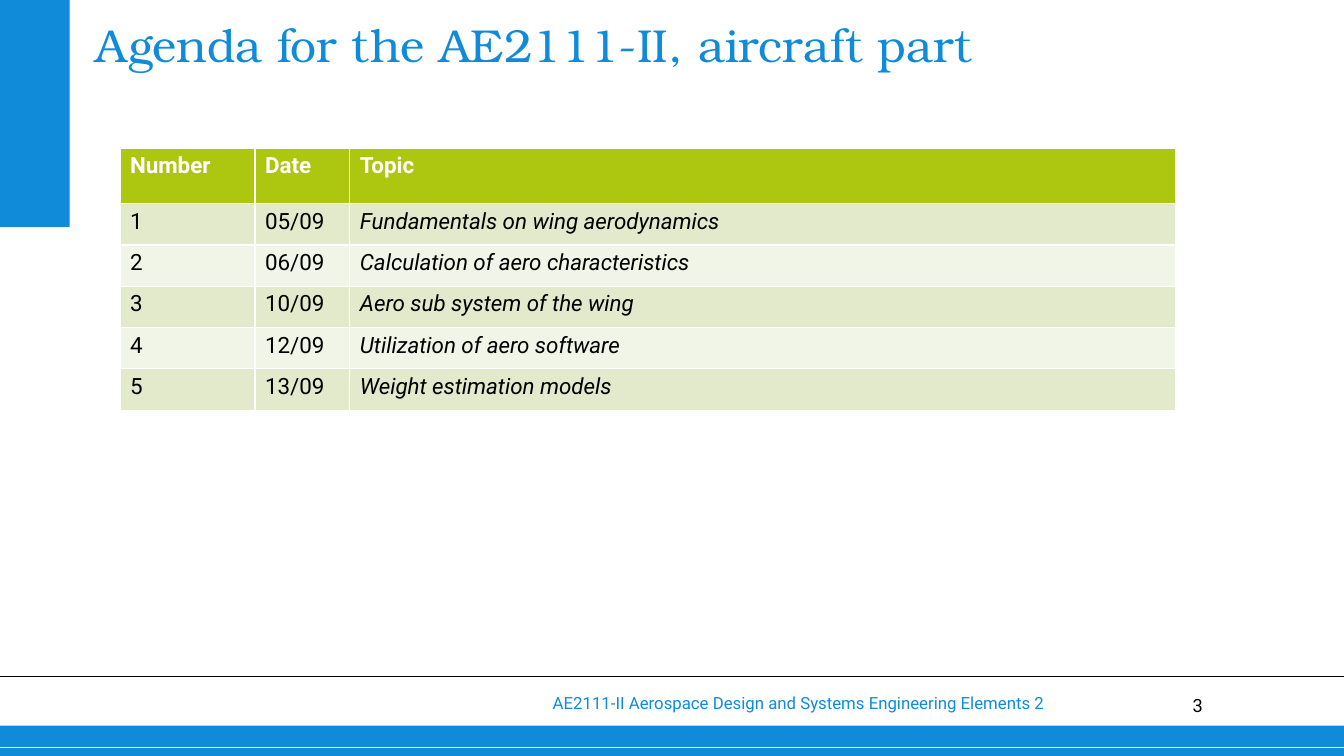
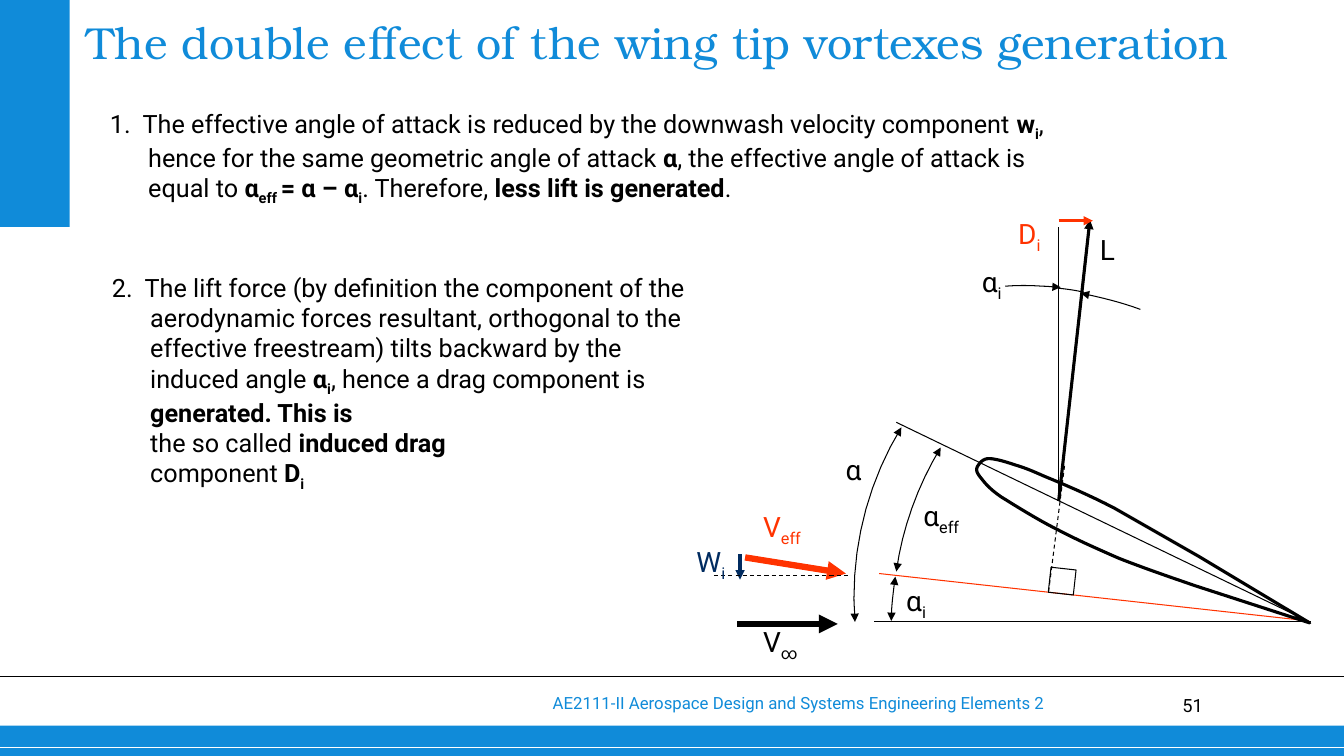
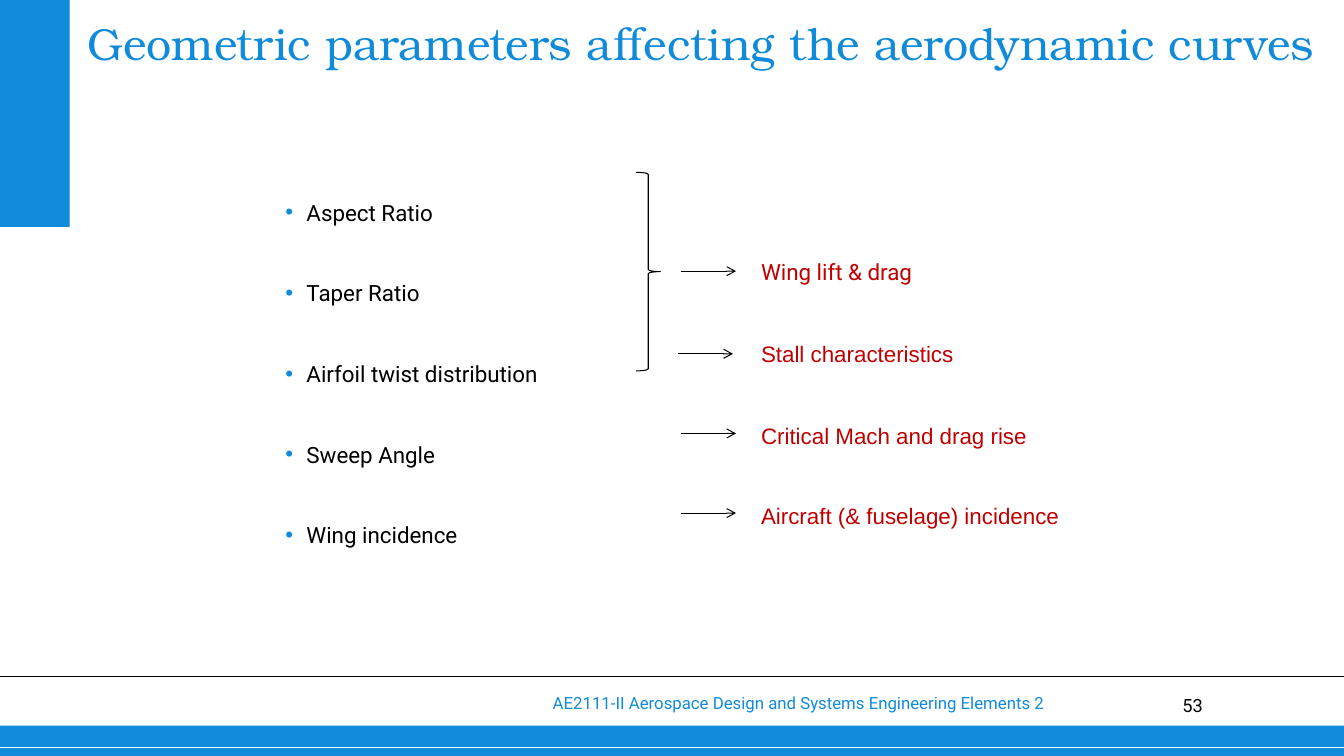
from lxml.etree import SubElement
from pptx import Presentation
from pptx.dml.color import RGBColor
from pptx.enum.dml import MSO_LINE
from pptx.enum.shapes import MSO_CONNECTOR, MSO_SHAPE
from pptx.enum.text import MSO_ANCHOR, MSO_AUTO_SIZE, PP_ALIGN
from pptx.oxml.ns import qn
from pptx.util import Inches, Pt

BLUE, BLACK, WHITE = "108BD9", "000000", "FFFFFF"
ORANGE, NAVY, RED = "FF3300", "002B60", "C00000"
LIME, PALE_GREEN, PALE_GREY = "ADC610", "E3EACC", "F1F5E7"
COLUMNS, ROWS = 1333, 750
cell = Inches(0.01)
color = RGBColor.from_string


def stroke(shape, line_color, width, head=None, tail=None, dashed=False):
    shape.line.color.rgb = color(line_color)
    shape.line.width = Pt(width)
    if dashed:
        shape.line.dash_style = MSO_LINE.DASH
    line = shape.line._get_or_add_ln()
    for end, kind in (("a:headEnd", head), ("a:tailEnd", tail)):
        if kind:
            SubElement(line, qn(end), type=kind)
    SubElement(shape.element.spPr, qn("a:effectLst"))


def write(shape, box, pieces, size, text_color, font="Roboto", align=PP_ALIGN.LEFT, indent=0, bullet=None):
    shape.left, shape.top, shape.width, shape.height = [value * cell for value in box]
    frame = shape.text_frame
    frame.word_wrap = True
    frame.auto_size = MSO_AUTO_SIZE.NONE
    frame.vertical_anchor = MSO_ANCHOR.TOP
    paragraph = frame.paragraphs[0]
    for text, style in [(pieces, "")] if isinstance(pieces, str) else pieces:
        if paragraph.runs and bullet:
            paragraph = frame.add_paragraph()
        if text == "\n":
            paragraph.add_line_break()
            continue
        run = paragraph.add_run()
        run.text = text
        if "b" in style:
            run.font.bold = True
        if "s" in style:
            run.font._element.set("baseline", "-25000")
    for paragraph in frame.paragraphs:
        paragraph.alignment = align
        paragraph.space_before = Pt(0)
        if bullet:
            paragraph.line_spacing = 3.0
        properties = paragraph._p.get_or_add_pPr()
        properties.set("marL", str(indent * cell))
        properties.set("indent", str(-indent * cell))
        if bullet:
            SubElement(SubElement(properties, qn("a:buClr")), qn("a:srgbClr"), val=BLUE)
            SubElement(properties, qn("a:buChar"), char=bullet)
        else:
            SubElement(properties, qn("a:buNone"))
        paragraph.font.size = Pt(size)
        paragraph.font.name = font
        paragraph.font.color.rgb = color(text_color)


presentation = Presentation()
presentation.slide_width = COLUMNS * cell
presentation.slide_height = ROWS * cell

slides = []
for layout, number, title, box, size in (
    (5, "3", "Agenda for the AE2111-II, aircraft part", (85, 11, 1117, 83), 33),
    (3, "51", "The double effect of the wing tip vortexes generation", (76, 10, 1162, 64), 32),
    (1, "53", "Geometric parameters affecting the aerodynamic curves", (77, 11, 1245, 64), 32),
):
    slide = presentation.slides.add_slide(presentation.slide_layouts[layout])
    write(slide.shapes.title, box, title, size, BLUE, "TeX Gyre Bonum")
    number_box = slide.shapes.add_textbox(0, 0, 0, 0)
    write(number_box, (1114, 689, 79, 28), number, 13, BLACK, align=PP_ALIGN.RIGHT)
    frame = number_box.text_frame
    frame.margin_left = frame.margin_right = frame.margin_top = frame.margin_bottom = 0
    slides.append(slide)
agenda, vortexes, parameters = slides

decorations = []
for left, top, width, height in ((0, 720, COLUMNS, 30), (0, 0, 69, 225)):
    band = agenda.shapes.add_shape(MSO_SHAPE.RECTANGLE, left * cell, top * cell, width * cell, height * cell)
    band.fill.solid()
    band.fill.fore_color.rgb = color(BLUE)
    band.line.fill.background()
    band.shadow.inherit = False
    decorations.append(band)
for row, line_color, width in ((742, WHITE, 0.75), (671, BLACK, 1)):
    rule = agenda.shapes.add_connector(MSO_CONNECTOR.STRAIGHT, 0, row * cell, COLUMNS * cell, row * cell)
    stroke(rule, line_color, width)
    decorations.append(rule)
footer = agenda.shapes.add_textbox(0, 0, 0, 0)
write(footer, (341, 682, 705, 30), "AE2111-II Aerospace Design and Systems Engineering Elements 2", 12, BLUE,
      align=PP_ALIGN.RIGHT)
decorations.append(footer)
for identifier, shape in enumerate(decorations, 100):
    shape.element.xpath(".//p:cNvPr")[0].set("id", str(identifier))
    presentation.slide_master.shapes.element.append(shape.element)

lectures = (
    ("Number", "Date", "Topic"),
    ("1", "05/09", "Fundamentals on wing aerodynamics"),
    ("2", "06/09", "Calculation of aero characteristics"),
    ("3", "10/09", "Aero sub system of the wing"),
    ("4", "12/09", "Utilization of aero software"),
    ("5", "13/09", "Weight estimation models"),
)
table = agenda.shapes.add_table(6, 3, 119 * cell, 147 * cell, 1047 * cell, 258 * cell).table
for column, width in zip(table.columns, (134, 94, 819)):
    column.width = width * cell
for row, lecture in enumerate(lectures):
    table.rows[row].height = (41 if row else 55) * cell
    for column, text in enumerate(lecture):
        table_cell = table.cell(row, column)
        table_cell.text = text
        table_cell.fill.solid()
        table_cell.fill.fore_color.rgb = color((PALE_GREEN if row % 2 else PALE_GREY) if row else LIME)
        font = table_cell.text_frame.paragraphs[0].font
        font.size = Pt(16)
        font.name = "Roboto"
        font.bold = row == 0
        font.italic = row > 0 and column == 2
        font.color.rgb = color(BLACK if row else WHITE)

effects = (
    ((99, 102, 956, 100), (
        ("1.  The effective angle of attack is reduced by the downwash velocity component ", ""),
        ("w", "b"), ("i", "bs"), (", hence for the same geometric angle of attack ", ""), ("α", "b"),
        (", the effective angle of attack is equal to ", ""), ("α", "b"), ("eff ", "bs"), ("= α – α", "b"),
        ("i", "bs"), (". Therefore, ", ""), ("less lift is generated", "b"), (".", ""))),
    ((101, 265, 589, 220), (
        ("2.  The lift force (by definition the component of the aerodynamic forces resultant, orthogonal to "
         "the effective freestream) tilts backward by the induced angle ", ""),
        ("α", "b"), ("i", "bs"), (", hence a drag component is ", ""), ("generated. This is", "b"), ("\n", ""),
        ("the so called ", ""), ("induced drag", "b"), ("\n", ""), ("component ", ""), ("D", "b"), ("i", "bs"))),
)
for placeholder, (box, pieces) in zip(list(vortexes.placeholders)[1:], effects):
    write(placeholder, box, pieces, 18, BLACK, indent=38)

for start_x, start_y, end_x, end_y, line_color, width, tail, dashed in (
    (1050, 497, 1081, 218, BLACK, 2.25, "triangle", False),
    (1050, 496, 1050, 225, BLACK, 0.75, None, False),
    (1050, 219, 1084, 219, ORANGE, 2.25, "triangle", False),
    (1040, 587, 1056, 461, BLACK, 0.75, None, True),
    (1300, 617, 867, 617, BLACK, 0.75, None, False),
    (1297, 616, 889, 419, BLACK, 0.75, None, False),
    (1298, 616, 872, 569, ORANGE, 0.75, None, False),
    (731, 619, 831, 619, BLACK, 4.5, "triangle", False),
    (739, 553, 839, 569, ORANGE, 4.5, "triangle", False),
    (734, 550, 734, 575, NAVY, 2.25, "triangle", False),
    (708, 571, 841, 571, BLACK, 0.75, None, True),
):
    line = vortexes.shapes.add_connector(
        MSO_CONNECTOR.STRAIGHT, start_x * cell, start_y * cell, end_x * cell, end_y * cell)
    stroke(line, line_color, width, tail=tail, dashed=dashed)

right_angle = vortexes.shapes.add_shape(MSO_SHAPE.RECTANGLE, 1041 * cell, 564 * cell, 25 * cell, 25 * cell)
right_angle.rotation = 6.3
right_angle.fill.background()
stroke(right_angle, BLACK, 0.75)

airfoil = (
    ((1189, 552),), ((1105, 504),),
    ((1080, 491), (1054, 480), (1037, 473)), ((1021, 466), (1016, 464), (1006, 461)),
    ((997, 458), (987, 455), (981, 455)), ((975, 455), (972, 459), (970, 462)),
    ((968, 465), (968, 468), (972, 473)), ((976, 478), (980, 484), (993, 493)),
    ((1006, 501), (1028, 515), (1048, 525)), ((1067, 535), (1087, 544), (1110, 554)),
    ((1133, 563), (1153, 570), (1185, 581)), ((1299, 618),),
)
for start, segments, width, head, tail in (
    ((1299, 618), airfoil, 2.25, None, None),
    ((1050, 286), (((1059, 287), (1067, 288), (1075, 290)),), 0.75, None, None),
    ((997, 284), (((1009, 283), (1021, 283), (1034, 284)), ((1040, 284), (1046, 285), (1052, 285))),
     0.75, None, "triangle"),
    ((1072, 291), (((1092, 295), (1112, 300), (1131, 307)),), 0.75, "triangle", None),
    ((848, 617), (((848, 609), (847, 601), (847, 593)), ((847, 533), (863, 475), (894, 424))),
     0.75, "triangle", "triangle"),
    ((889, 567), (((895, 524), (910, 482), (933, 444)),), 0.75, "triangle", "triangle"),
    ((884, 616), (((884, 602), (886, 587), (888, 572)),), 0.75, "triangle", "triangle"),
):
    points = [start]
    for segment in segments:
        if len(segment) == 1:
            points.append(segment[0])
            continue
        controls = (points[-1], *segment)
        for step in range(1, 9):
            t = step / 8
            weights = ((1 - t) ** 3, 3 * t * (1 - t) ** 2, 3 * t * t * (1 - t), t ** 3)
            points.append(tuple(sum(w * p[axis] for w, p in zip(weights, controls)) for axis in (0, 1)))
    builder = vortexes.shapes.build_freeform(start[0] * cell, start[1] * cell)
    builder.add_line_segments([(x * cell, y * cell) for x, y in points[1:]], close=False)
    curve = builder.convert_to_shape()
    curve.fill.background()
    stroke(curve, BLACK, width, head, tail)

for left, top, symbol, subscript, text_color in (
    (964, 257, "α", "i", BLACK),
    (1000, 210, "D", "i", ORANGE),
    (1081, 226, "L", "", BLACK),
    (747, 615, "V", "∞", BLACK),
    (681, 535, "W", "i", NAVY),
    (747, 501, "V", "eff", ORANGE),
    (829, 444, "α", "", BLACK),
    (889, 574, "α", "i", BLACK),
    (906, 490, "α", "eff", BLACK),
):
    pieces = [(symbol, ""), (subscript, "s")] if subscript else symbol
    write(vortexes.shapes.add_textbox(0, 0, 0, 0), (left, top, 80, 43), pieces, 20, text_color)

names = ("Aspect Ratio", "Taper Ratio", "Airfoil twist distribution", "Sweep Angle", "Wing incidence")
write(parameters.placeholders[1], (273, 139, 488, 409), [(name, "") for name in names], 16, BLACK,
      indent=21, bullet="•")
brace = parameters.shapes.add_shape(MSO_SHAPE.RIGHT_BRACE, 631 * cell, 171 * cell, 24 * cell, 197 * cell)
brace.fill.background()
stroke(brace, BLACK, 0.75)
for top, arrow_left, arrow_row, text, font in (
    (251, 675, 269, "Wing lift & drag", "Roboto"),
    (333, 672, 351, "Stall characteristics", "Arial"),
    (414, 675, 430, "Critical Mach and drag rise", "Arial"),
    (493, 675, 509, "Aircraft (& fuselage) incidence", "Arial"),
):
    write(parameters.shapes.add_textbox(0, 0, 0, 0), (745, top, 323, 35), text, 16, RED, font)
    arrow = parameters.shapes.add_connector(
        MSO_CONNECTOR.STRAIGHT, arrow_left * cell, arrow_row * cell, (arrow_left + 55) * cell, arrow_row * cell)
    stroke(arrow, BLACK, 0.75, tail="arrow")

presentation.save("out.pptx")
